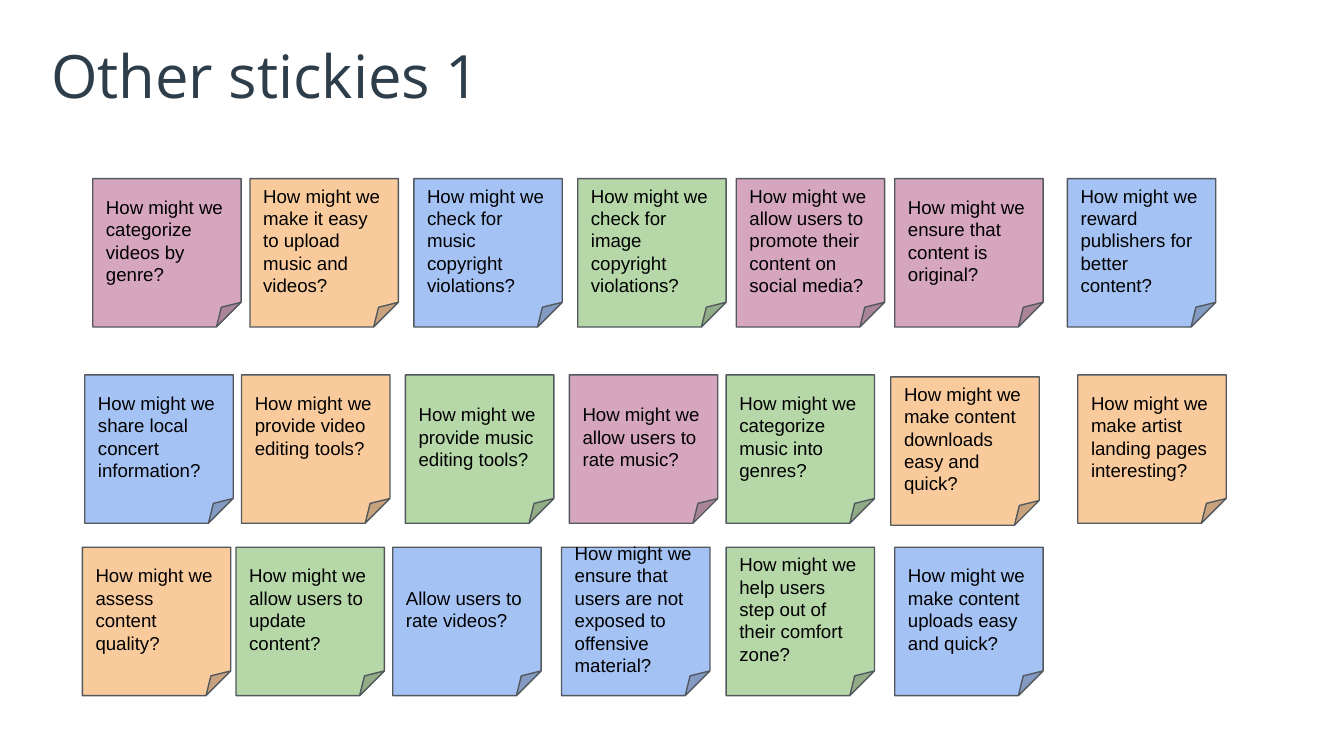
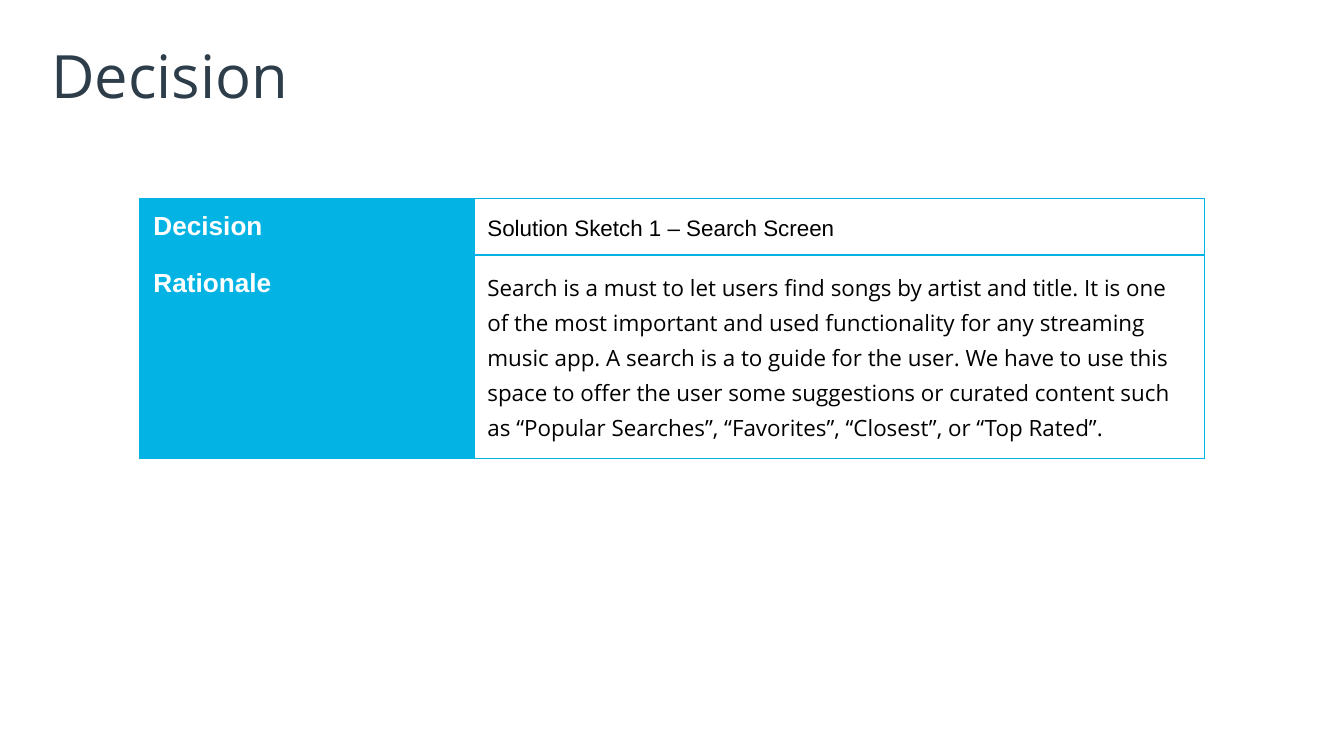
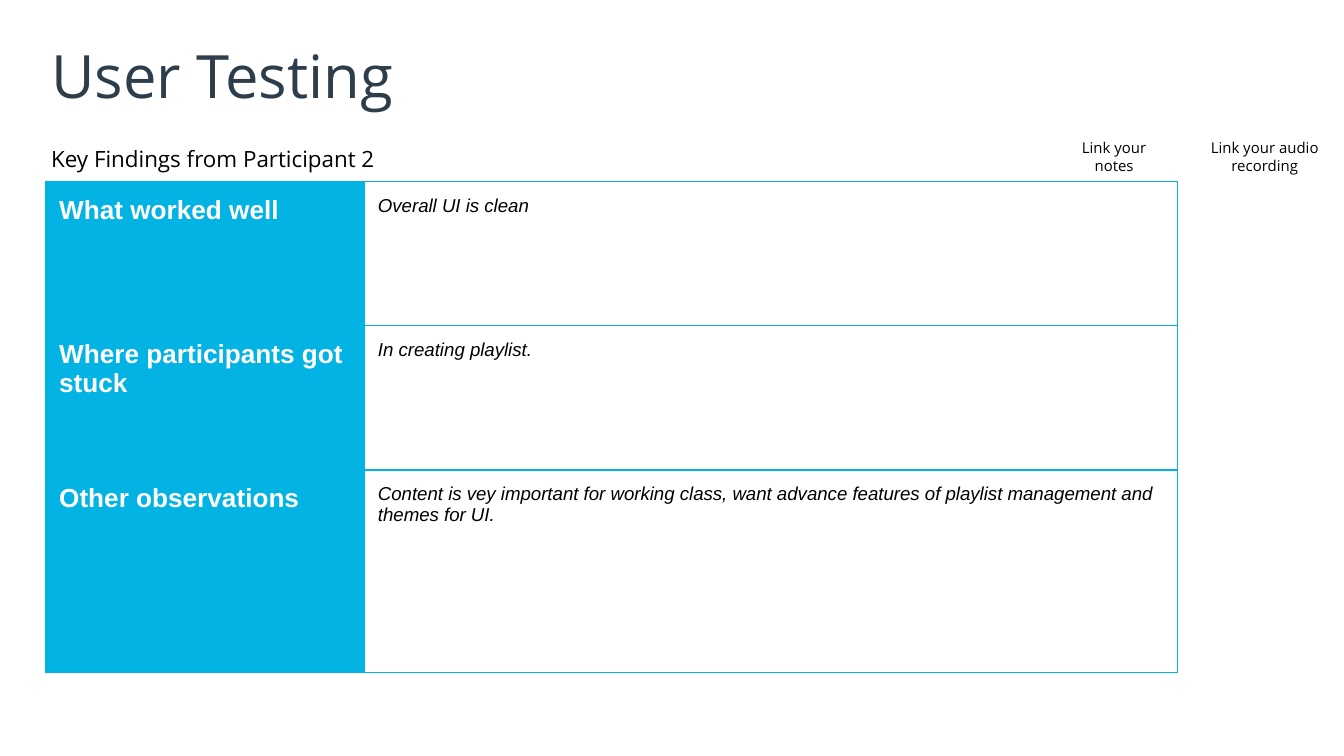
import pptx
import pptx.util
import pptx.dml.color
import pptx.enum.shapes
import pptx.enum.text
import pptx.oxml
import pptx.oxml.ns

Pt = pptx.util.Pt
Align = pptx.enum.text.PP_ALIGN
Anchor = pptx.enum.text.MSO_ANCHOR

# Shared look
INK, SLATE, GREY, CYAN, WHITE = "000000", "2D3D4A", "53585F", "02B3E4", "FFFFFF"
HUES = {"blue": "A4C2F4", "peach": "F9CB9C", "green": "B6D7A8", "pink": "D5A6BD"}
HEAD, BODY = "Open Sans", "Arial"
PAD, SLIM = 7.2, 2.9

# Sticky notes: top of each row, then left, hue and text of each note
SIDE = 79.5
ROWS = [
    (95.7, [
        (49.7, "pink", "How might we categorize videos by genre?"),
        (133.9, "peach", "How might we make it easy to upload music and videos?"),
        (221.7, "blue", "How might we check for music copyright violations?"),
        (309.5, "green", "How might we check for image copyright violations?"),
        (394.4, "pink", "How might we allow users to promote their content on social media?"),
        (479.3, "pink", "How might we ensure that content is original?"),
        (571.8, "blue", "How might we reward publishers for better content?"),
    ]),
    (200.8, [
        (45.4, "blue", "How might we share local concert information?"),
        (129.4, "peach", "How might we provide video editing tools?"),
        (217.2, "green", "How might we provide music editing tools?"),
        (305, "pink", "How might we allow users to rate music?"),
        (389, "green", "How might we categorize music into genres?"),
        (477.2, "peach", "How might we make content downloads easy and quick?"),
        (577.4, "peach", "How might we make artist landing pages interesting?"),
    ]),
    (293.2, [
        (44.1, "peach", "How might we assess content quality?"),
        (126.4, "green", "How might we allow users to update content?"),
        (210.4, "blue", "Allow users to rate videos?"),
        (300.8, "blue", "How might we ensure that users are not exposed to offensive material?"),
        (389, "green", "How might we help users step out of their comfort zone?"),
        (479.3, "blue", "How might we make content uploads easy and quick?"),
    ]),
]
DROP = {(1, 5): 1.1}   # (row, column): note sits lower
TAIL = {(1, 1): 12}    # (row, column): extra space below the text

# Tables
CHOICE = [
    ("Decision", "Solution Sketch 1 – Search Screen"),
    ("Rationale", "Search is a must to let users find songs by artist and title. "
     "It is one of the most important and used functionality for any streaming music app. "
     "A search is a to guide for the user. We have to use this space to offer the user some "
     "suggestions or curated content such as “Popular Searches”, “Favorites”, “Closest”, "
     "or “Top Rated”."),
]
FINDS = [
    ("What worked well", "Overall UI is clean"),
    ("Where participants got stuck", "In creating playlist."),
    ("Other observations", "Content is vey important for working class, want advance features "
     "of playlist management and themes for UI."),
]

# Captions on the testing slide: box, text, size, padding, alignment, line spacing
NOTES = [
    ((24.5, 72.7, 671, 24.5), "Key Findings from Participant 2", 12, SLIM, Align.LEFT, 1.15),
    ((638, 67, 79.2, 34.6), "Link your audio recording", 8, PAD, Align.CENTER, 1.0),
    ((557.3, 67, 79.2, 34.6), "Link your\nnotes", 8, PAD, Align.CENTER, 1.0),
]


def tint(code):
    return pptx.dml.color.RGBColor.from_string(code)


def write(frame, text, size, face=BODY, hue=INK, bold=False, slant=False,
          align=Align.LEFT, space=1.0):
    frame.text = text
    for para in frame.paragraphs:
        para.alignment, para.line_spacing = align, space
        para.space_before = Pt(0)
        for run in para.runs:
            font = run.font
            font.size, font.name, font.color.rgb = Pt(size), face, tint(hue)
            font.bold, font.italic = bold, slant


def inset(item, pad, tail=0):
    """Pad a text frame or a table cell on all sides."""
    item.margin_left = item.margin_right = item.margin_top = Pt(pad)
    item.margin_bottom = Pt(pad + tail)


def start(deck, text):
    """Add a slide with its title."""
    slide = deck.slides.add_slide(deck.slide_layouts[5])
    title = slide.shapes.title
    title.left, title.top, title.width, title.height = map(Pt, (24.5, 17.3, 671, 45.4))
    frame = title.text_frame
    inset(frame, SLIM)
    frame.auto_size = pptx.enum.text.MSO_AUTO_SIZE.NONE
    frame.vertical_anchor = Anchor.MIDDLE
    write(frame, text, 32, HEAD, SLATE)
    return slide


def stick(slide, left, top, hue, text, tail):
    kind = pptx.enum.shapes.MSO_SHAPE.FOLDED_CORNER
    note = slide.shapes.add_shape(kind, Pt(left), Pt(top), Pt(SIDE), Pt(SIDE))
    note.shadow.inherit = False
    note.fill.solid()
    note.fill.fore_color.rgb = tint(HUES[hue])
    note.line.color.rgb, note.line.width = tint(GREY), Pt(0.75)
    frame = note.text_frame
    frame.word_wrap, frame.vertical_anchor = True, Anchor.MIDDLE
    inset(frame, PAD, tail)
    write(frame, text, 10, space=Pt(12))


def edge(cell):
    """Draw all four borders, placed before the fill."""
    props = cell._tc.get_or_add_tcPr()
    for spot, side in enumerate(("lnL", "lnR", "lnT", "lnB")):
        props.insert(spot, pptx.oxml.parse_xml(
            f'<a:{side} {pptx.oxml.ns.nsdecls("a")} w="{Pt(0.75)}"><a:solidFill>'
            f'<a:srgbClr val="{CYAN}"/></a:solidFill></a:{side}>'))


def grid(slide, left, top, cols, tall, data, styles):
    """Add a two-column table; styles holds the right-hand text style of each row."""
    box = map(Pt, (left, top, sum(cols), sum(tall)))
    table = slide.shapes.add_table(len(data), 2, *box).table
    table.first_row = table.horz_banding = False
    for col, wide in zip(table.columns, cols):
        col.width = Pt(wide)
    for row, high, texts, style in zip(table.rows, tall, data, styles):
        row.height = Pt(high)
        label, value = row.cells
        label.fill.solid()
        label.fill.fore_color.rgb = tint(CYAN)
        value.fill.background()
        write(label.text_frame, texts[0], 14, hue=WHITE, bold=True)
        write(value.text_frame, texts[1], **style)
        for cell in row.cells:
            inset(cell, PAD)
            edge(cell)


def main():
    deck = pptx.Presentation()
    deck.slide_width, deck.slide_height = Pt(720), Pt(405)

    # Sticky notes
    slide = start(deck, "Other stickies 1")
    for r, (top, notes) in enumerate(ROWS):
        for c, (left, hue, text) in enumerate(notes):
            stick(slide, left, top + DROP.get((r, c), 0), hue, text, TAIL.get((r, c), 0))

    # Decision
    slide = start(deck, "Decision")
    plain = {"size": 12, "space": 1.15}
    grid(slide, 75, 106.4, (178.9, 391.2), (30, 109), CHOICE, (plain, {**plain, "face": HEAD}))

    # User testing
    slide = start(deck, "User Testing")
    for box, text, size, pad, align, space in NOTES:
        frame = slide.shapes.add_textbox(*map(Pt, box)).text_frame
        frame.word_wrap = True
        inset(frame, pad)
        write(frame, text, size, HEAD, align=align, space=space)
    grid(slide, 24.5, 97.4, (170.8, 435.6), (77.2, 77.2, 108.7), FINDS,
         [{"size": 10, "slant": True}] * len(FINDS))

    deck.save("out.pptx")


if __name__ == "__main__":
    main()
